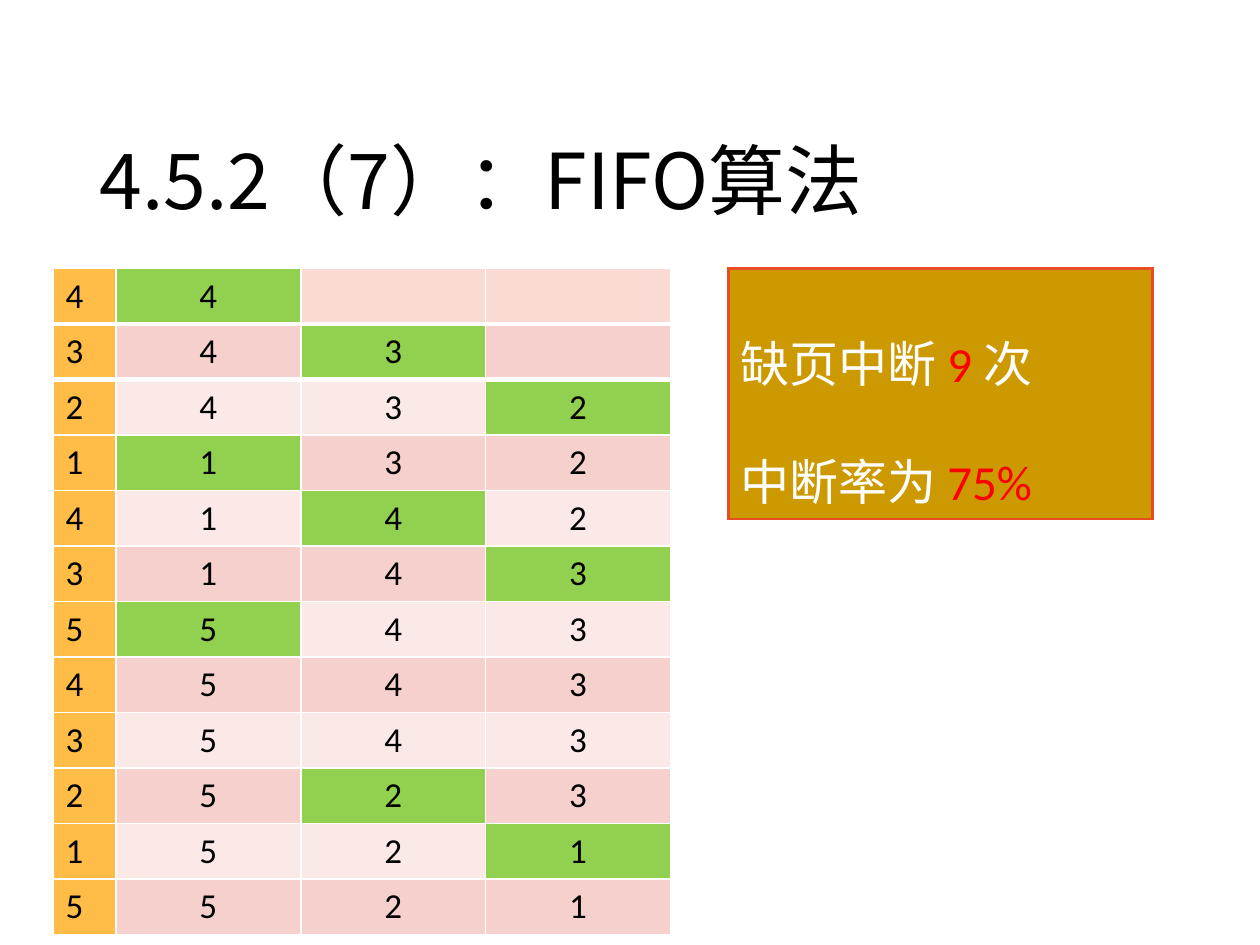
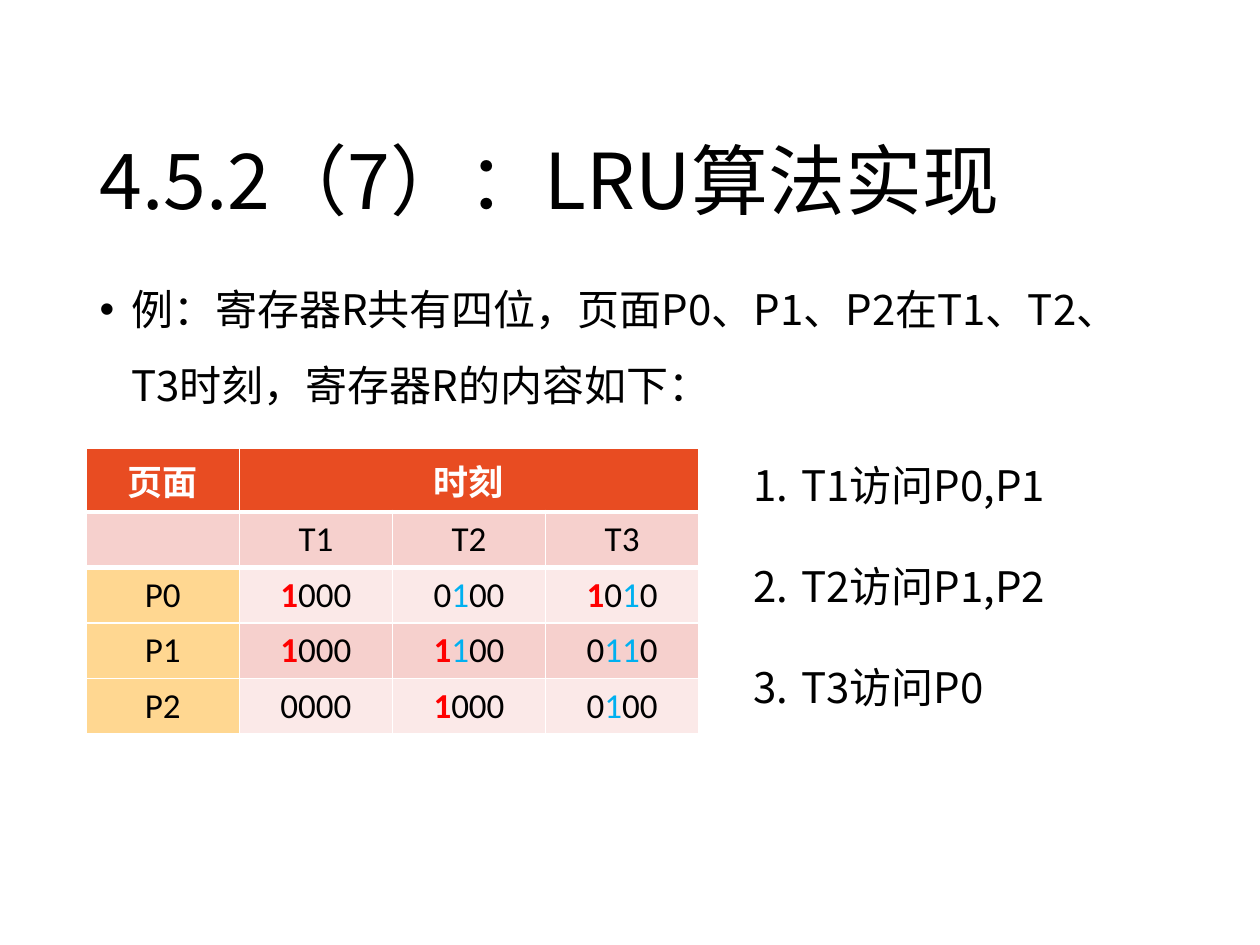
from dataclasses import dataclass
from itertools import groupby

from lxml import etree
from pptx import Presentation
from pptx.dml.color import RGBColor
from pptx.enum.shapes import MSO_SHAPE
from pptx.enum.text import MSO_ANCHOR, MSO_AUTO_SIZE, PP_ALIGN
from pptx.oxml.ns import qn
from pptx.util import Inches, Pt

RECT = MSO_SHAPE.RECTANGLE
BOTTOM, TOP = MSO_ANCHOR.BOTTOM, MSO_ANCHOR.TOP
LEFT, CENTER = PP_ALIGN.LEFT, PP_ALIGN.CENTER
NO_FIT = MSO_AUTO_SIZE.NONE


@dataclass(frozen=True)
class Theme:
    latin: str = "Calibri"
    cjk: str = "Noto Sans CJK SC"
    title: int = 44
    callout: int = 28
    body: int = 24
    cell: int = 20
    black: str = "000000"
    white: str = "FFFFFF"
    red: str = "FF0000"
    blue: str = "00B0F0"
    orange: str = "E84C22"
    ochre: str = "CC9900"
    amber: str = "FFBD47"
    pale_amber: str = "FFD791"
    green: str = "92D050"
    peach: str = "FADBD3"
    bands: tuple = ("FBE9E8", "F6D0CD")


T = Theme()
GRID = Inches(0.1)  # the slide is 100 columns by 75 rows


def add_run(p, text, size, color=T.black, latin=T.latin, ea=T.latin, bold=False):
    r = p.add_run()
    r.text = text
    r.font.size = Pt(size)
    r.font.bold = bold
    r.font.name = latin
    r.font.color.rgb = RGBColor.from_string(color)
    etree.SubElement(r.font._element, qn("a:ea"), typeface=ea)


def paint_cell(cell, row, color):
    """Fill a cell and draw the thick white rule between the first two rows."""
    cell.fill.solid()
    cell.fill.fore_color.rgb = RGBColor.from_string(color)
    if row < 2:
        ln = etree.Element(qn("a:lnT" if row else "a:lnB"), w=str(Pt(3)))
        fill = etree.SubElement(ln, qn("a:solidFill"))
        etree.SubElement(fill, qn("a:srgbClr"), val=T.white)
        cell._tc.get_or_add_tcPr().insert(0, ln)


prs = Presentation()
prs.slide_width, prs.slide_height = 100 * GRID, 75 * GRID
LAYOUT_CONTENT, LAYOUT_TITLE = prs.slide_layouts[1], prs.slide_layouts[5]

# Titles
slides = []
for layout, text, width in (
    (LAYOUT_TITLE, "4.5.2（7）：FIFO算法", 86.2),
    (LAYOUT_CONTENT, "4.5.2（7）：LRU算法实现", 93.1),
):
    s = prs.slides.add_slide(layout)
    sp = s.shapes.title
    sp.left, sp.top = int(6.9 * GRID), int(3.95 * GRID)
    sp.width, sp.height = int(width * GRID), int(14.5 * GRID)
    tf = sp.text_frame
    tf.auto_size = NO_FIT
    tf.vertical_anchor = BOTTOM
    p = tf.paragraphs[0]
    p.alignment = LEFT
    p.line_spacing = 0.9
    add_run(p, text, T.title, latin=T.cjk, ea=T.cjk)
    slides.append(s)
fifo, lru = slides

# FIFO: each row is one page reference and the three frames after it
references = "432143543215"
FRAMES, ROW = 3, int(4.4 * GRID)
table = fifo.shapes.add_table(
    len(references), FRAMES + 1, int(4.2 * GRID), int(21.3 * GRID),
    49 * GRID, ROW * len(references)
).table
for column, width in zip(table.columns, [5] + [14.67] * FRAMES):
    column.width = int(width * GRID)

frames, oldest = [""] * FRAMES, 0
for i, page in enumerate(references):
    table.rows[i].height = ROW
    loaded = None
    if page not in frames:
        frames[oldest] = page
        loaded = oldest
        oldest = (oldest + 1) % FRAMES
    for j, text in enumerate([page] + frames):
        cell = table.cell(i, j)
        color = T.bands[i % 2] if i else T.peach
        if j == 0:
            color = T.amber
        elif j - 1 == loaded:
            color = T.green
        paint_cell(cell, i, color)
        if text:
            p = cell.text_frame.paragraphs[0]
            p.alignment = CENTER if j else LEFT
            add_run(p, text, T.cell)

# FIFO: fault count and rate
sp = fifo.shapes.add_shape(
    RECT, int(57.8 * GRID), int(21.3 * GRID), int(33.7 * GRID), int(19.9 * GRID))
sp.shadow.inherit = False
sp.fill.solid()
sp.fill.fore_color.rgb = RGBColor.from_string(T.ochre)
sp.line.color.rgb = RGBColor.from_string(T.orange)
sp.line.width = Pt(1.5)
etree.SubElement(sp.line._get_or_add_ln(), qn("a:miter"), lim="800000")
tf = sp.text_frame
tf.word_wrap = True
tf.vertical_anchor = TOP
for i, parts in enumerate((("缺页中断 ", "9", " 次"), ("中断率为 ", "75%"))):
    p = tf.add_paragraph() if i else tf.paragraphs[0]
    p.alignment = LEFT
    p.line_spacing = 2
    for j, text in enumerate(parts):
        add_run(p, text, T.callout, T.red if j == 1 else T.white)

# LRU: example and numbered accesses
example = lru.placeholders[1]
example.left, example.top = int(6.9 * GRID), 20 * GRID
example.width, example.height = int(86.2 * GRID), int(47.6 * GRID)
accesses = lru.shapes.add_textbox(
    int(58.8 * GRID), 32 * GRID, 37 * GRID, int(25.2 * GRID))
for sp, items, indent, spacing, bullet, options in (
    (example, ["例：寄存器R共有四位，页面P0、P1、P2在T1、T2、T3时刻，寄存器R的内容如下："],
     2.5, 1.5, "a:buChar", {"char": "•"}),
    (accesses, ["T1访问P0,P1", "T2访问P1,P2", "T3访问P0"],
     3.8, 2, "a:buAutoNum", {"type": "arabicPeriod"}),
):
    tf = sp.text_frame
    tf.word_wrap = True
    tf.auto_size = NO_FIT
    for i, text in enumerate(items):
        p = tf.add_paragraph() if i else tf.paragraphs[0]
        p.line_spacing = spacing
        p.space_before = Pt(0)
        pPr = p._p.get_or_add_pPr()
        pPr.set("marL", str(int(indent * GRID)))
        pPr.set("indent", str(-int(indent * GRID)))
        etree.SubElement(pPr, qn(bullet), **options)
        add_run(p, text, T.body, latin=T.cjk, ea=T.cjk)

# LRU: register contents; a leading 1 marks an access, later ones have shifted
registers = [
    ["页面", "时刻", "", ""],
    ["", "T1", "T2", "T3"],
    ["P0", "1000", "0100", "1010"],
    ["P1", "1000", "1100", "0110"],
    ["P2", "0000", "1000", "0100"],
]
HEADER = int(4.9 * GRID)
table = lru.shapes.add_table(
    len(registers), 4, int(6.85 * GRID), int(35.6 * GRID),
    int(48.6 * GRID), HEADER + 4 * ROW
).table
table.cell(0, 1).merge(table.cell(0, 3))
for i, values in enumerate(registers):
    table.rows[i].height = ROW if i else HEADER
    for j, text in enumerate(values):
        cell = table.cell(i, j)
        color = T.bands[i % 2] if i else T.orange
        if i > 1 and j == 0:
            color = T.pale_amber
        paint_cell(cell, i, color)
        p = cell.text_frame.paragraphs[0]
        p.alignment = CENTER
        if i == 0 and text:
            add_run(p, text, T.cell, T.white, ea=T.cjk, bold=True)
        elif i > 1 and j:
            colors = [T.black if bit == "0" else T.blue if k else T.red
                      for k, bit in enumerate(text)]
            for color, bits in groupby(zip(colors, text), key=lambda pair: pair[0]):
                add_run(p, "".join(bit for _, bit in bits), T.cell, color,
                        bold=color == T.red)
        elif text:
            add_run(p, text, T.cell)

prs.save("out.pptx")
